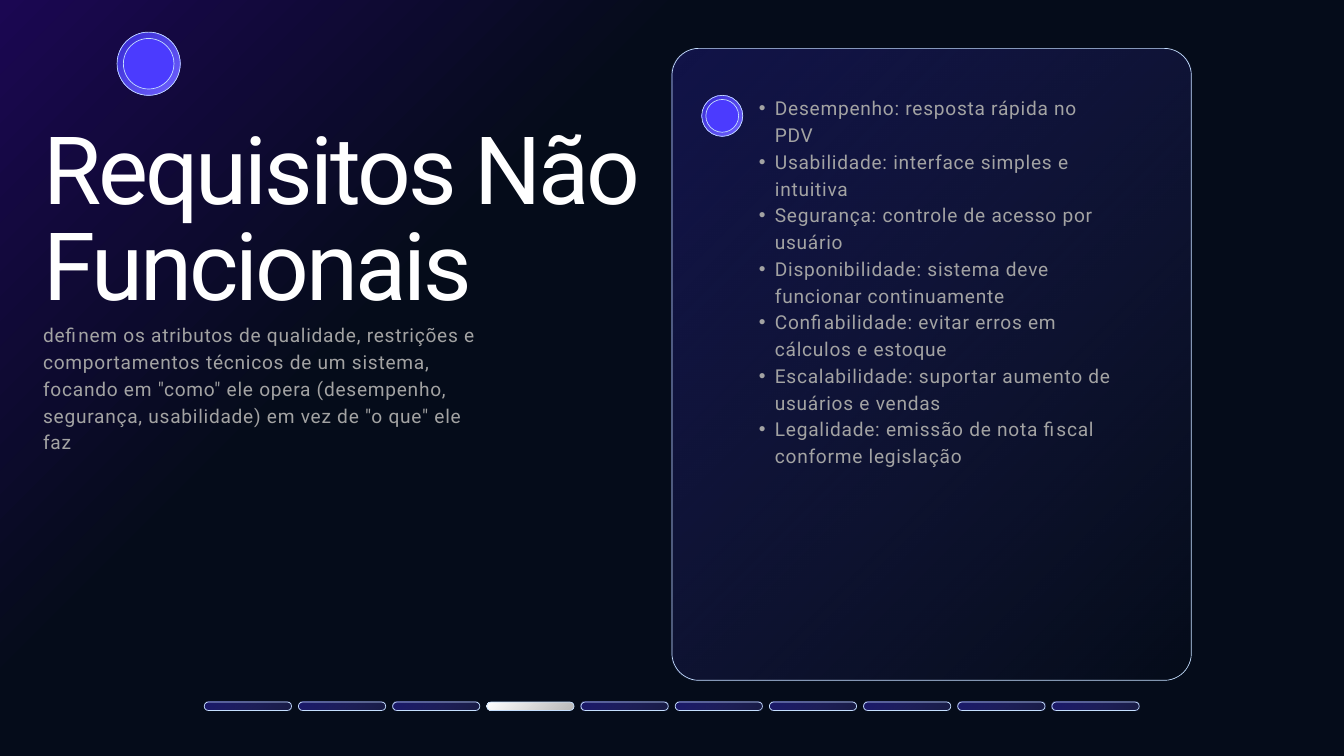
"""Build the slide on non-functional requirements with its panel, badges and progress bar."""
from typing import NamedTuple

from lxml import etree
from pptx import Presentation
from pptx.dml.color import RGBColor
from pptx.enum.shapes import MSO_SHAPE
from pptx.enum.text import MSO_ANCHOR, MSO_AUTO_SIZE, PP_ALIGN
from pptx.oxml.ns import qn
from pptx.util import Cm, Pt

OVAL = MSO_SHAPE.OVAL
ROUNDED = MSO_SHAPE.ROUNDED_RECTANGLE
TOP = MSO_ANCHOR.TOP
LEFT = PP_ALIGN.LEFT
GROW = MSO_AUTO_SIZE.SHAPE_TO_FIT_TEXT

FONT = "Roboto"
GREY = "A3A3A3"
OUTLINE = "C5DFFF"
CORE = "4B3BFE"
TITLE_ONLY = 5
PILL_COUNT = 10
CURRENT_PILL = 3


class Stop(NamedTuple):
    position: int
    color: str
    alpha: int = 100


class Box(NamedTuple):
    left: float
    top: float
    width: float
    height: float

    def lengths(self) -> list:
        return [Cm(value) for value in self]


class Badge(NamedTuple):
    center_x: float
    center_y: float
    diameter: float


class TextStyle(NamedTuple):
    size: float
    line: float
    tracking: int


NIGHT = [Stop(0, "1B0752"), Stop(33, "050C1A"), Stop(67, "050C1A"), Stop(100, "050C1A")]
SILVER = [Stop(0, "FFFFFF"), Stop(100, "B8B8B8")]
VIOLET = [Stop(0, "3629D1"), Stop(100, "6F62FF")]
GLASS = [Stop(0, "3629D1", 26), Stop(100, "6F62FF", 0)]
DIM = [Stop(0, "3629D1", 45), Stop(100, "6F62FF", 18)]

TITLE_STYLE = TextStyle(101, 103, -320)
BODY_STYLE = TextStyle(20.5, 28.7, 80)

BADGES = [Badge(5.62, 2.41, 2.39), Badge(27.3, 4.38, 1.55)]
DEFINITION = (
    "definem os atributos de qualidade, restrições e comportamentos técnicos de um "
    'sistema, focando em "como" ele opera (desempenho, segurança, usabilidade) em vez '
    'de "o que" ele faz'
)
REQUIREMENTS = [
    "Desempenho: resposta rápida no PDV",
    "Usabilidade: interface simples e intuitiva",
    "Segurança: controle de acesso por usuário",
    "Disponibilidade: sistema deve funcionar continuamente",
    "Confiabilidade: evitar erros em cálculos e estoque",
    "Escalabilidade: suportar aumento de usuários e vendas",
    "Legalidade: emissão de nota fiscal conforme legislação",
]


def rgb(color: str) -> RGBColor:
    return RGBColor.from_string(color)


def paint_gradient(fill, owner, stops: list[Stop]) -> None:
    """Fill with a gradient that spreads from the top left corner."""
    fill.gradient()
    gradient = next(owner.iter(qn("a:gradFill")))
    for child in list(gradient):
        gradient.remove(child)
    stop_list = etree.SubElement(gradient, qn("a:gsLst"))
    for stop in stops:
        mark = etree.SubElement(stop_list, qn("a:gs"), pos=str(stop.position * 1000))
        color = etree.SubElement(mark, qn("a:srgbClr"), val=stop.color)
        if stop.alpha < 100:
            etree.SubElement(color, qn("a:alpha"), val=str(stop.alpha * 1000))
    circle = etree.SubElement(gradient, qn("a:path"), path="circle")
    etree.SubElement(circle, qn("a:fillToRect"), l="0", t="0", r="100000", b="100000")


def draw_shape(slide, kind, box: Box, paint: str | list[Stop], radius: float = 0) -> None:
    """Draw an outlined shape in a flat colour or a gradient."""
    shape = slide.shapes.add_shape(kind, *box.lengths())
    shape.shadow.inherit = False
    if kind == ROUNDED:
        shape.adjustments[0] = radius / min(box.width, box.height)
    if isinstance(paint, str):
        shape.fill.solid()
        shape.fill.fore_color.rgb = rgb(paint)
    else:
        paint_gradient(shape.fill, shape._element.spPr, paint)
    shape.line.color.rgb = rgb(OUTLINE)
    shape.line.width = Pt(0.75)


def draw_badge(slide, badge: Badge) -> None:
    """Draw a ring with a smaller disc on the same centre."""
    for diameter, paint in ((badge.diameter, VIOLET), (badge.diameter * 0.8, CORE)):
        left = badge.center_x - diameter / 2
        top = badge.center_y - diameter / 2
        draw_shape(slide, OVAL, Box(left, top, diameter, diameter), paint)


def draw_progress(slide) -> None:
    """Draw the row of pills with the current one lit."""
    for index in range(PILL_COUNT):
        box = Box(7.72 + 3.56 * index, 26.54, 3.3, 0.32)
        paint = SILVER if index == CURRENT_PILL else DIM
        draw_shape(slide, ROUNDED, box, paint, box.height / 2)


def add_bullet(paragraph) -> None:
    """Give the paragraph a hanging round bullet."""
    paragraph.level = 1
    properties = paragraph._p.get_or_add_pPr()
    properties.set("marL", str(Cm(1.22)))
    properties.set("indent", str(Cm(-0.61)))
    etree.SubElement(properties, qn("a:buFont"), typeface="Arial")
    etree.SubElement(properties, qn("a:buChar"), char="•")


def write_text(holder, lines: list[str], style: TextStyle,
               paint: str | list[Stop], bulleted: bool = False) -> None:
    """Write the lines as left-aligned paragraphs without margins."""
    frame = holder.text_frame
    frame.word_wrap = True
    frame.auto_size = GROW
    frame.vertical_anchor = TOP
    frame.margin_left = frame.margin_top = frame.margin_right = frame.margin_bottom = 0
    frame.text = "\n".join(lines)
    for paragraph in frame.paragraphs:
        if bulleted:
            add_bullet(paragraph)
        paragraph.alignment = LEFT
        paragraph.line_spacing = Pt(style.line)
        font = paragraph.font
        font.name = FONT
        font.size = Pt(style.size)
        font._element.set("spc", str(style.tracking))
        if isinstance(paint, str):
            font.color.rgb = rgb(paint)
        else:
            paint_gradient(font.fill, font._element, paint)


def main() -> None:
    presentation = Presentation()
    presentation.slide_width = Cm(50.8)
    presentation.slide_height = Cm(28.58)
    slide = presentation.slides.add_slide(presentation.slide_layouts[TITLE_ONLY])
    paint_gradient(slide.background.fill, slide._element, NIGHT)

    title = slide.shapes.title
    title.left, title.top, title.width, title.height = Box(1.63, 4.8, 23.24, 7.42).lengths()
    write_text(title, ["Requisitos Não Funcionais"], TITLE_STYLE, SILVER)

    definition = slide.shapes.add_textbox(*Box(1.63, 12.09, 16.41, 4.98).lengths())
    write_text(definition, [DEFINITION], BODY_STYLE, GREY)

    draw_shape(slide, ROUNDED, Box(25.4, 1.83, 19.63, 23.89), GLASS, 1.02)
    requirements = slide.shapes.add_textbox(*Box(28.07, 3.51, 14.3, 15.04).lengths())
    write_text(requirements, REQUIREMENTS, BODY_STYLE, GREY, bulleted=True)

    for badge in BADGES:
        draw_badge(slide, badge)
    draw_progress(slide)
    presentation.save("out.pptx")


if __name__ == "__main__":
    main()
